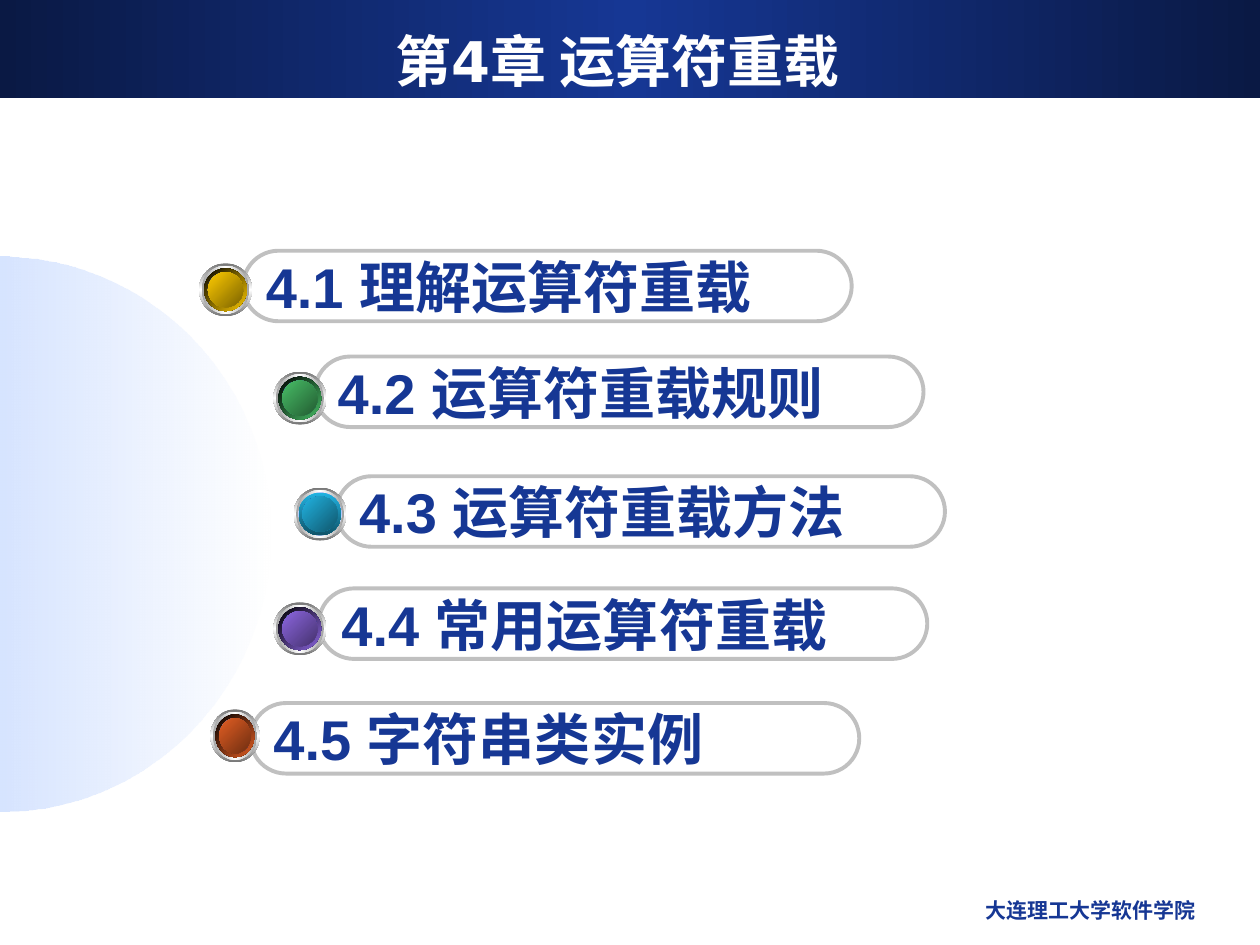
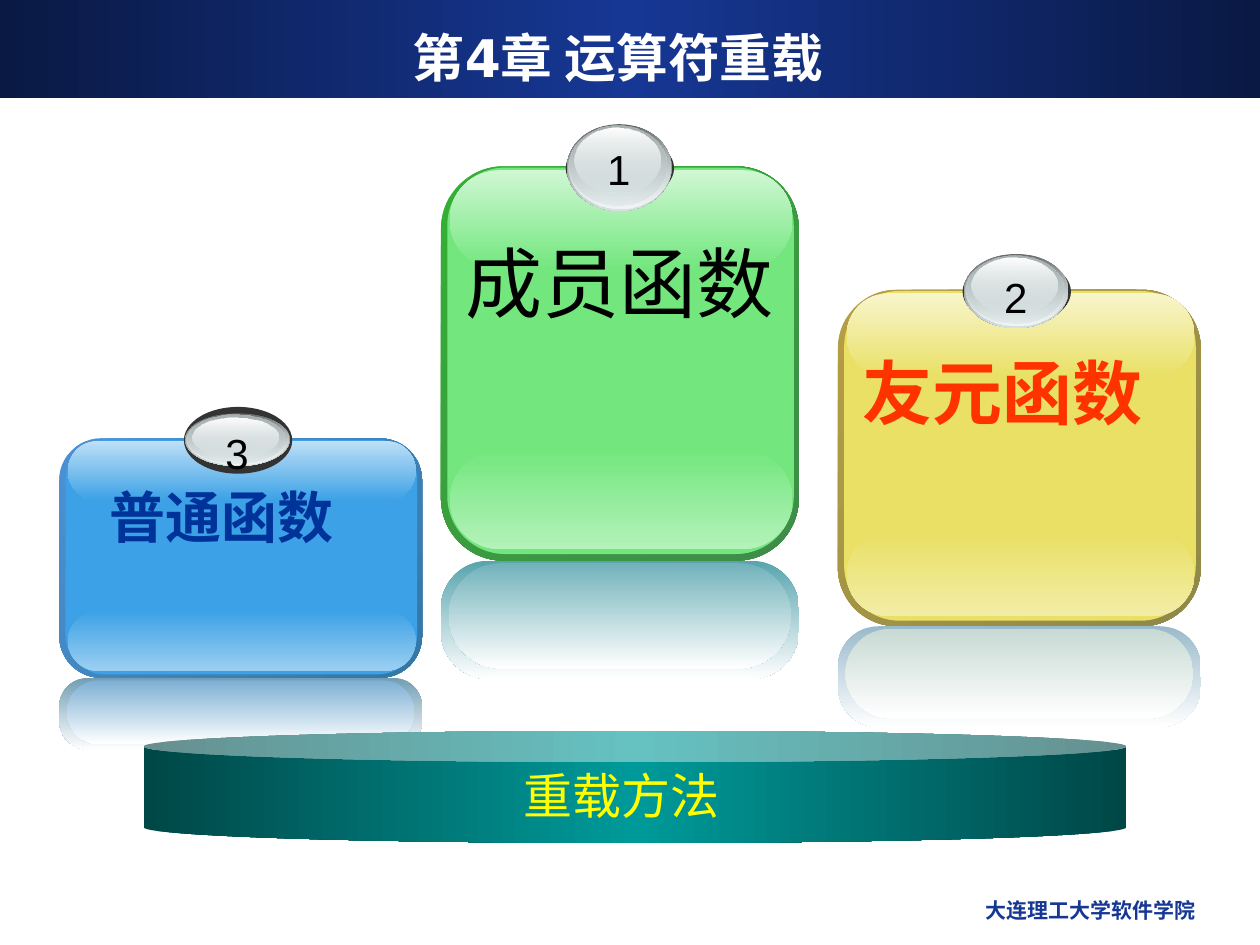
from dataclasses import dataclass
from math import cos, pi, sin

from pptx import Presentation
from pptx.dml.color import RGBColor
from pptx.enum.shapes import MSO_SHAPE as Shape
from pptx.enum.text import MSO_ANCHOR as Anchor, PP_ALIGN as Align
from pptx.oxml import parse_xml
from pptx.oxml.ns import nsdecls, qn
from pptx.util import Inches, Pt


@dataclass(frozen=True)
class Theme:
    font: str = "Arial"
    title_font: str = "DejaVu Sans"
    navy: str = "163794"
    dark_navy: str = "0A1944"
    white: str = "FFFFFF"
    black: str = "000000"
    outline: str = "C0C0C0"
    sky: str = "6699FF"
    dark_sky: str = "37538A"
    pale_sky: str = "B2CCFF"
    ring: str = "767676"
    inner_ring: str = "A2A2A2"
    badge_edge: str = "333333"
    badge_rim: str = "636869"
    badge_face: str = "D6E1E2"
    badge_shade: str = "AAB2B3"
    badge_light: str = "F1F5F5"
    teal: str = "009999"
    dark_teal: str = "004747"
    yellow: str = "FFFF00"
    title_size: float = 32
    small_title_size: float = 29.6
    topic_size: float = 32
    number_size: float = 24
    base_size: float = 28
    footer_size: float = 12


THEME = Theme()


@dataclass(frozen=True)
class Card:
    number: str
    label: str
    box: tuple
    edge: tuple
    face: str
    top_tint: str
    bottom_tint: str
    reflection: tuple
    label_size: float
    label_color: str
    bold: bool = True
    indent: float = 0


CARDS = [
    Card("3", "普通函数", (0.47, 3.48, 2.88, 1.9), ("4E91D4", "3477A4"), "3CA1E6",
         "BEE0F7", "9BCFF2", ("729EB4", "7DAFD4"), 32, "003399", indent=0.2),
    Card("1", "成员函数", (3.5, 1.32, 2.84, 3.13), ("34B034", "3F8B4A"), "73E77E",
         "D0F7D4", "B3F2B9", ("58A4AE", "72B2BB"), 44, THEME.black, bold=False),
    Card("2", "友元函数", (6.65, 2.3, 2.88, 2.67), ("B59F43", "8F8849"), "E9E065",
         "F8F5CC", "F2EDA6", ("99BACC", "C8DAD4"), 40, "FF3300"),
]

TOPICS = [
    ("4.1 理解运算符重载", (1.93, 1.99), (1.58, 2.09, 0.42), "FFCC00", "7C6300"),
    ("4.2 运算符重载规则", (2.5, 2.83), (2.17, 2.95, 0.42), "48BE67", "235C32"),
    ("4.3 运算符重载方法", (2.67, 3.78), (2.33, 3.87, 0.42), "21B3E1", "10576D"),
    ("4.4 常用运算符重载", (2.53, 4.67), (2.17, 4.78, 0.42), "8D67E1", "45326D"),
    ("4.5 字符串类实例", (1.99, 5.58), (1.67, 5.63, 0.39), "E35E23", "6E2E11"),
]


def rgb(color):
    return RGBColor.from_string(color)


def fill_gradient(shape, colors, angle, alphas=None):
    alphas = alphas or [100] * len(colors)
    last = len(colors) - 1
    stops = "".join(
        f'<a:gs pos="{100000 * index // last}"><a:srgbClr val="{color}">'
        f'<a:alpha val="{alpha * 1000}"/></a:srgbClr></a:gs>'
        for index, (color, alpha) in enumerate(zip(colors, alphas)))
    gradient = parse_xml(
        f'<a:gradFill {nsdecls("a")} rotWithShape="1"><a:gsLst>{stops}</a:gsLst>'
        f'<a:lin ang="{angle * 60000}" scaled="0"/></a:gradFill>')
    shape.fill.background()
    properties = shape.element.spPr
    properties.replace(properties.find(qn("a:noFill")), gradient)


def add_shape(slide, kind, box, colors=(), angle=90, alphas=None, radius=None):
    shape = slide.shapes.add_shape(kind, *map(Inches, box))
    shape.shadow.inherit = False
    shape.line.fill.background()
    if radius is not None:
        shape.adjustments[0] = radius
    if len(colors) > 1:
        fill_gradient(shape, colors, angle, alphas)
    elif colors:
        shape.fill.solid()
        shape.fill.fore_color.rgb = rgb(colors[0])
    else:
        shape.fill.background()
    return shape


def write(shape, text, size, color, bold=False, align=Align.LEFT,
          font=THEME.font, anchor=Anchor.TOP, wrap=True):
    frame = shape.text_frame
    frame.word_wrap = wrap
    frame.vertical_anchor = anchor
    paragraph = frame.paragraphs[0]
    paragraph.text = text
    paragraph.alignment = align
    paragraph.font.name = font
    paragraph.font.size = Pt(size)
    paragraph.font.bold = bold
    paragraph.font.color.rgb = rgb(color)
    return paragraph


def add_text(slide, box, *args, **options):
    return write(slide.shapes.add_textbox(*map(Inches, box)), *args, **options)


def add_chapter_slide(presentation, title_size):
    slide = presentation.slides.add_slide(presentation.slide_layouts[6])
    add_shape(slide, Shape.RECTANGLE, (0, 0, 10, 0.78),
              (THEME.dark_navy, THEME.navy, THEME.dark_navy), 0)
    title = add_text(slide, (0.33, 0.17, 9.25, 0.62), "第4章 运算符重载 ", title_size,
                     THEME.white, True, Align.CENTER, THEME.title_font, Anchor.MIDDLE)
    add_text(slide, (6.42, 7.07, 3.17, 0.35), "大连理工大学软件学院",
             THEME.footer_size, THEME.navy, True, Align.RIGHT)
    return slide, title


def add_half_disc(slide, center_y, radius_x, radius_y):
    angles = [pi * step / 90 - pi / 2 for step in range(91)]
    points = [(Inches(radius_x * cos(angle)), Inches(center_y + radius_y * sin(angle)))
              for angle in angles]
    builder = slide.shapes.build_freeform(*points[0])
    builder.add_line_segments(points[1:], close=True)
    disc = builder.convert_to_shape()
    disc.shadow.inherit = False
    disc.line.fill.background()
    fill_gradient(disc, (THEME.pale_sky, THEME.white), 0, (52, 48))


def add_button(slide, left, top, width, color, shade):
    height = 0.42
    layers = [
        (0, (THEME.ring, THEME.white, THEME.ring), 90),
        (0.02, (THEME.inner_ring, THEME.white, THEME.inner_ring), 0),
        (0.04, (THEME.white, THEME.sky, THEME.white), 45),
        (0.04, (THEME.black, color), 45),
        (0.07, (THEME.dark_sky, THEME.sky, THEME.dark_sky), 315),
        (0.07, (color, shade), 45),
    ]
    if color == "21B3E1":
        layers[3] = (0.04, (color, "0F5368"), 90)
    for inset, colors, angle in layers:
        box = left + inset, top + inset, width - 2 * inset, height - 2 * inset
        add_shape(slide, Shape.OVAL, box, colors, angle)


def add_topic(slide, text, position, button, color, shade):
    pill = add_shape(slide, Shape.ROUNDED_RECTANGLE, (*position, 4.83, 0.56), radius=0.5)
    pill.line.color.rgb = rgb(THEME.outline)
    pill.line.width = Pt(2.25)
    write(pill, text, THEME.topic_size, THEME.navy, True,
          anchor=Anchor.MIDDLE, wrap=False)
    add_button(slide, *button, color, shade)


def add_badge(slide, left, center, height, number):
    top = center - height / 2
    add_shape(slide, Shape.OVAL, (left, center - 0.26, 0.86, 0.53), (THEME.badge_edge,))
    layers = [
        (0.01, 0, 0.83, 1, (THEME.badge_rim, THEME.badge_face), (100, 100)),
        (0.02, 0, 0.81, 0.97, (THEME.badge_face, THEME.badge_light), (0, 100)),
        (0.03, 0.01, 0.77, 0.92, (THEME.badge_shade, THEME.badge_face), (100, 48)),
        (0.07, 0.03, 0.68, 0.74, (THEME.white, THEME.badge_face), (100, 38)),
    ]
    for dx, dy, width, share, colors, alphas in layers:
        add_shape(slide, Shape.OVAL, (left + dx, top + dy, width, height * share),
                  colors, alphas=alphas)
    add_text(slide, (left + 0.23, top + 0.15 * height, 0.38, 0.5), number,
             THEME.number_size, THEME.black, align=Align.CENTER, wrap=False)


def add_card(slide, card):
    left, top, width, height = card.box
    bottom = top + height
    gloss_left, gloss_width, gloss_height = left + 0.07, width - 0.12, height / 4
    mirror_height = 0.3 * height
    outer_mirror, inner_mirror = card.reflection
    layers = [
        (card.box, card.edge, 45, 0.175),
        ((left + 0.05, top + 0.01, width - 0.09, 0.98 * height), (card.face,), 0, 0.167),
        ((gloss_left, bottom - 0.03 * height - gloss_height, gloss_width, gloss_height),
         (card.face, card.bottom_tint), 90, 0.5),
        ((gloss_left, top + 0.01 * height, gloss_width, gloss_height),
         (card.top_tint, card.face), 90, 0.5),
        ((left, bottom, width, mirror_height), (outer_mirror, THEME.white), 90, 0.404),
        ((left + 0.06, bottom + 0.02, gloss_width, 0.89 * mirror_height),
         (inner_mirror, THEME.white), 90, 0.5),
    ]
    for box, colors, angle, radius in layers:
        add_shape(slide, Shape.ROUNDED_RECTANGLE, box, colors, angle, radius=radius)
    add_badge(slide, left + 0.99, top + 0.01, 0.22 * height, card.number)
    label_box = (left + 0.1 + card.indent, top + 0.16 * height,
                 2.74 - card.indent, card.label_size / 52)
    add_text(slide, label_box, card.label, card.label_size, card.label_color, card.bold)


def add_base(slide, left, top, width, height):
    add_shape(slide, Shape.CAN, (left, top, width, height),
              (THEME.dark_teal, THEME.teal, THEME.dark_teal), 0, radius=0.279)
    add_text(slide, (left + 2.92, top + 0.23, 2.32, 0.57), "重载方法",
             THEME.base_size, THEME.yellow)


def build_contents(presentation):
    slide, _ = add_chapter_slide(presentation, THEME.title_size)
    add_half_disc(slide, 4.24, 2.15, 2.2)
    for topic in TOPICS:
        add_topic(slide, *topic)


def build_methods(presentation):
    slide, title = add_chapter_slide(presentation, THEME.small_title_size)
    title.line_spacing = 0.9
    for card in CARDS:
        add_card(slide, card)
    add_base(slide, 1.14, 5.8, 7.8, 0.89)


def main():
    presentation = Presentation()
    presentation.slide_width = Inches(10)
    presentation.slide_height = Inches(7.5)
    build_contents(presentation)
    build_methods(presentation)
    presentation.save("out.pptx")


if __name__ == "__main__":
    main()
